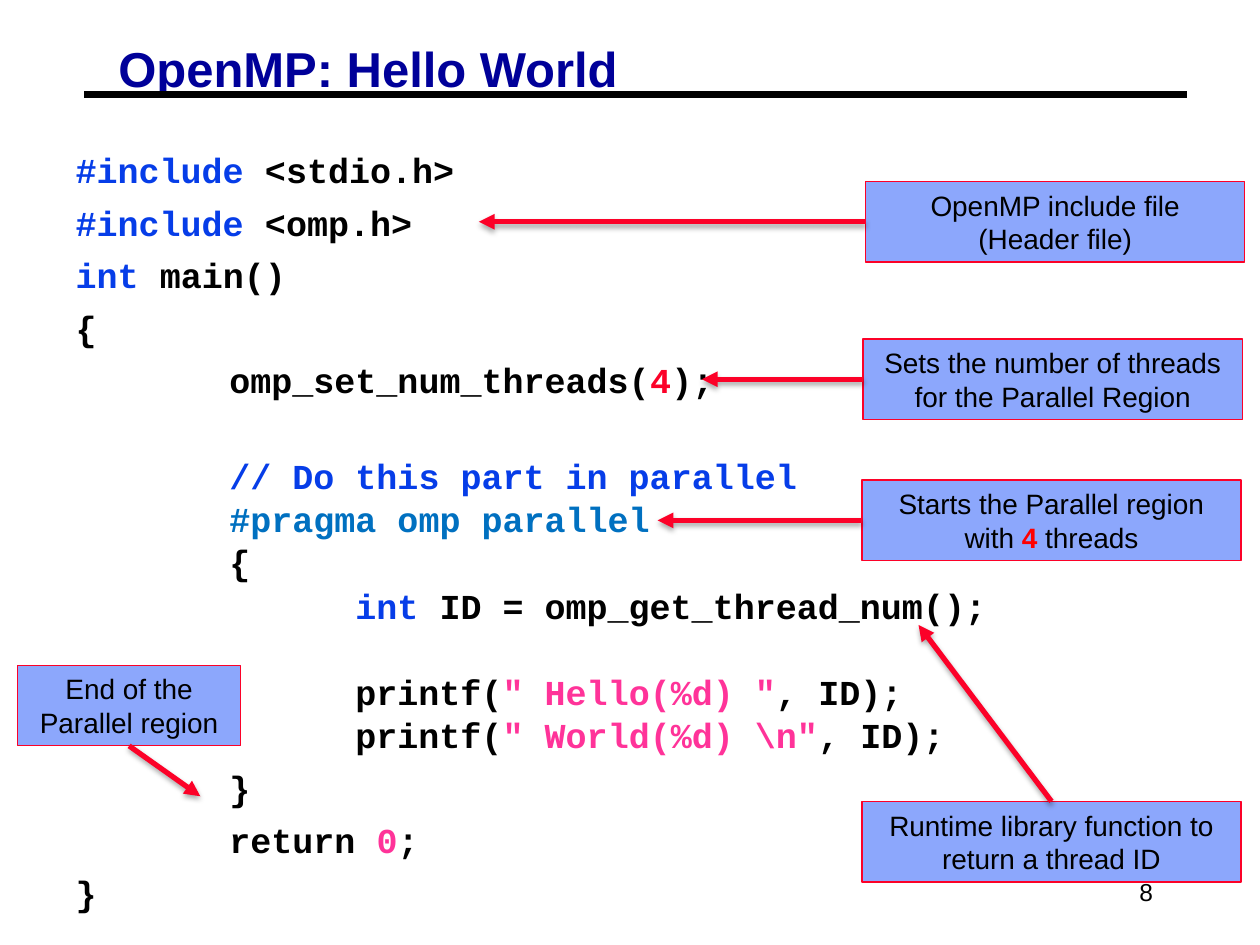
import dataclasses

import lxml.etree
import pptx
import pptx.dml.color
import pptx.enum.shapes
import pptx.enum.text
import pptx.oxml
import pptx.oxml.ns
import pptx.util

COLUMN = ROW = pptx.util.Inches(0.1)
COLUMNS, ROWS = 100, 75
ALIGN = pptx.enum.text.PP_ALIGN
ANCHOR = pptx.enum.text.MSO_ANCHOR
STRAIGHT = pptx.enum.shapes.MSO_CONNECTOR.STRAIGHT
TOP, LEFT, BOTTOM = 0, 1, 2  # connection sites of a rectangle


@dataclasses.dataclass(frozen=True)
class Theme:
    sans: str = "Arial"
    mono: str = "Courier New"
    title_size: int = 28
    code_size: int = 20
    callout_size: int = 16
    number_size: int = 14
    black: str = "000000"
    title: str = "000099"
    keyword: str = "063DE8"
    pragma: str = "0070C0"
    literal: str = "FF3399"
    accent: str = "FC0128"
    emphasis: str = "FF0000"
    callout: str = "8CA7FC"


THEME = Theme()

# Code: space before in points, indent level, then (text, colour) runs
LINE, TIGHT, BLANK = 6, 0.8, 24.4
INDENTS = (0, 12.2, 22.2)
BLACK, KEYWORD, LITERAL = THEME.black, THEME.keyword, THEME.literal
CODE = [
    (0, 0, [("#include ", KEYWORD), ("<stdio.h>", BLACK)]),
    (LINE, 0, [("#include ", KEYWORD), ("<omp.h>", BLACK)]),
    (LINE, 0, [("int ", KEYWORD), ("main()", BLACK)]),
    (LINE, 0, [("{", BLACK)]),
    (LINE, 1, [("omp_set_num_threads(", BLACK), ("4", THEME.accent), (");", BLACK)]),
    (LINE + BLANK, 1, [("// Do this part in parallel", KEYWORD)]),
    (TIGHT, 1, [("#pragma omp parallel", THEME.pragma)]),
    (TIGHT, 1, [("{", BLACK)]),
    (TIGHT, 2, [("int ", KEYWORD), ("ID = omp_get_thread_num();", BLACK)]),
    (TIGHT + BLANK, 2, [("printf(", BLACK), ('" Hello(%d) "', LITERAL), (", ID);", BLACK)]),
    (TIGHT, 2, [("printf(", BLACK), ('" World(%d) \\n"', LITERAL), (", ID);", BLACK)]),
    (LINE, 1, [("}", BLACK)]),
    (LINE, 1, [("return ", BLACK), ("0", LITERAL), (";", BLACK)]),
    (LINE, 0, [("}", BLACK)]),
]

# Callouts: box in grid units, paragraphs of (text, format) runs, arrow site and tip
CALLOUTS = [
    ((68.7, 14.4, 30.1, 6.4), [[("OpenMP include file", {})], [("(Header file)", {})]],
     LEFT, (38, 17.6)),
    ((68.5, 26.9, 30.1, 6.4), [[("Sets the number of threads for the Parallel Region", {})]],
     LEFT, (55.7, 30.1)),
    ((68.4, 38.1, 30.1, 6.4), [[("Starts the Parallel region with ", {}),
                                ("4", {"color": THEME.emphasis, "bold": True}),
                                (" threads", {})]],
     LEFT, (52.2, 41.3)),
    ((1.4, 52.8, 17.7, 6.4), [[("End of the Parallel region", {})]],
     BOTTOM, (15.9, 63.2)),
    ((68.4, 63.6, 30.1, 6.4), [[("Runtime library function to return a thread ID", {})]],
     TOP, (72.9, 49.6)),
]


def rgb(color):
    return pptx.dml.color.RGBColor.from_string(color)


def grid(box):
    left, top, width, height = box
    return (round(left * COLUMN), round(top * ROW),
            round(width * COLUMN), round(height * ROW))


def place(shape, box):
    shape.left, shape.top, shape.width, shape.height = grid(box)


def add_text(paragraph, text, font=THEME.sans, size=THEME.callout_size,
             color=THEME.black, bold=False):
    run = paragraph.add_run()
    run.text = text
    run.font.name = font
    run.font.size = pptx.util.Pt(size)
    run.font.bold = bold
    run.font.color.rgb = rgb(color)


def set_frame(frame, anchor, horizontal=0.1, vertical=0.05):
    frame.word_wrap = True
    frame.auto_size = pptx.enum.text.MSO_AUTO_SIZE.NONE
    frame.vertical_anchor = anchor
    frame.margin_left = frame.margin_right = pptx.util.Inches(horizontal)
    frame.margin_top = frame.margin_bottom = pptx.util.Inches(vertical)


def add_line(slide, start, end, color, width):
    points = [round(value * COLUMN) for value in (*start, *end)]
    line = slide.shapes.add_connector(STRAIGHT, *points)
    line.line.color.rgb = rgb(color)
    line.line.width = pptx.util.Pt(width)
    effects = lxml.etree.SubElement(line._element.spPr, pptx.oxml.ns.qn("a:effectLst"))
    return line, effects


def add_arrow(slide, shape, site, tip):
    arrow, effects = add_line(slide, tip, tip, THEME.accent, 3)
    arrow.begin_connect(shape, site)
    head = lxml.etree.SubElement(arrow.line._get_or_add_ln(), pptx.oxml.ns.qn("a:tailEnd"))
    head.set("type", "triangle")
    effects.append(pptx.oxml.parse_xml(
        f'<a:outerShdw {pptx.oxml.ns.nsdecls("a")} blurRad="39370" dist="22860" '
        'dir="5400000" rotWithShape="0"><a:srgbClr val="000000">'
        '<a:alpha val="35000"/></a:srgbClr></a:outerShdw>'))


def add_header(slide, box):
    left, top, width, height = box
    add_line(slide, (left - 2, top + 4.1), (left + width, top + 4.1), THEME.black, 3.75)
    title = slide.shapes.title
    place(title, box)
    set_frame(title.text_frame, ANCHOR.TOP, 0.07, 0.03)
    paragraph = title.text_frame.paragraphs[0]
    paragraph.alignment = ALIGN.LEFT
    paragraph.line_spacing = 0.87
    add_text(paragraph, "OpenMP: Hello World", size=THEME.title_size,
             color=THEME.title, bold=True)


def add_code(slide, box):
    body = slide.placeholders[1]
    place(body, box)
    frame = body.text_frame
    set_frame(frame, ANCHOR.TOP)
    for index, (space, level, runs) in enumerate(CODE):
        paragraph = frame.add_paragraph() if index else frame.paragraphs[0]
        properties = paragraph._p.get_or_add_pPr()
        properties.set("marL", str(round(INDENTS[level] * COLUMN)))
        properties.set("indent", "0")
        lxml.etree.SubElement(properties, pptx.oxml.ns.qn("a:buNone"))
        paragraph.space_before = pptx.util.Pt(space)
        for text, color in runs:
            add_text(paragraph, text, font=THEME.mono, size=THEME.code_size,
                     color=color, bold=True)


def add_callout(slide, box, paragraphs, site, tip):
    shape = slide.shapes.add_shape(pptx.enum.shapes.MSO_SHAPE.RECTANGLE, *grid(box))
    shape.shadow.inherit = False
    shape.fill.solid()
    shape.fill.fore_color.rgb = rgb(THEME.callout)
    shape.line.color.rgb = rgb(THEME.accent)
    shape.line.width = pptx.util.Pt(0.75)
    frame = shape.text_frame
    set_frame(frame, ANCHOR.MIDDLE)
    for index, runs in enumerate(paragraphs):
        paragraph = frame.add_paragraph() if index else frame.paragraphs[0]
        paragraph.alignment = ALIGN.CENTER
        for text, style in runs:
            add_text(paragraph, text, **style)
    add_arrow(slide, shape, site, tip)


def add_page_number(slide, box):
    frame = slide.shapes.add_textbox(*grid(box)).text_frame
    set_frame(frame, ANCHOR.MIDDLE)
    frame.paragraphs[0].alignment = ALIGN.RIGHT
    add_text(frame.paragraphs[0], "8", size=THEME.number_size)


def main():
    presentation = pptx.Presentation()
    presentation.slide_width = COLUMNS * COLUMN
    presentation.slide_height = ROWS * ROW
    slide = presentation.slides.add_slide(presentation.slide_layouts[1])
    add_header(slide, (8.7, 3.4, 85.5, 4.6))
    add_code(slide, (5, 11.3, 87.5, 62.8))
    for callout in CALLOUTS:
        add_callout(slide, *callout)
    add_page_number(slide, (71.7, 68.3, 20.8, 5))
    presentation.save("out.pptx")


if __name__ == "__main__":
    main()
